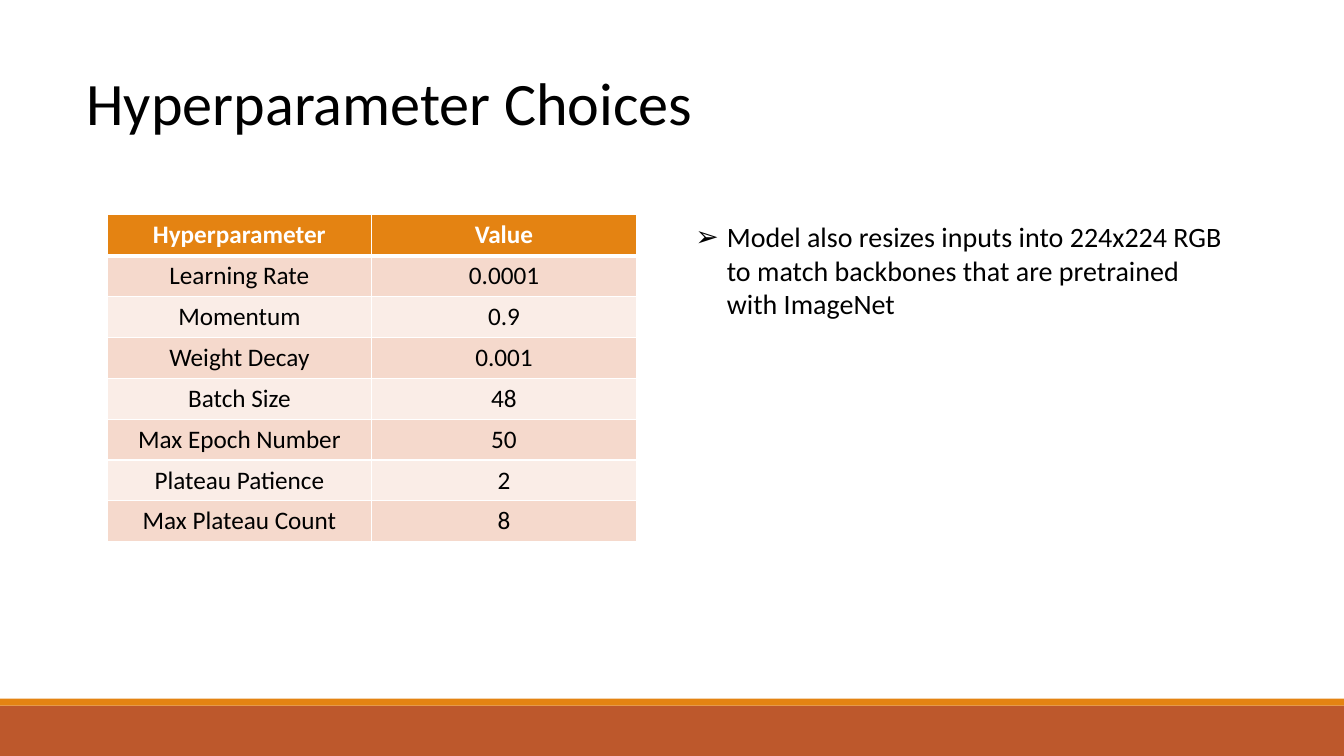
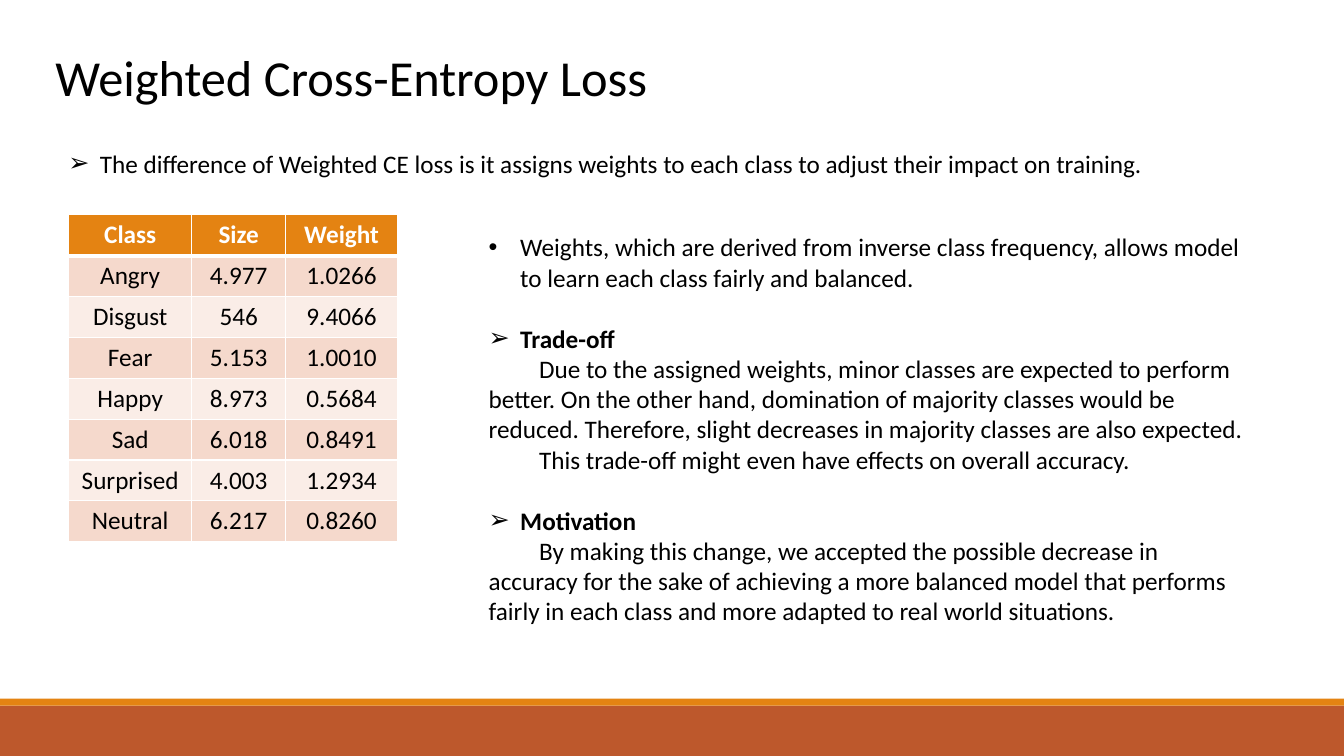
"""Build two slides on model training settings and the weighted loss."""
from lxml import etree
from pptx import Presentation
from pptx.dml.color import RGBColor
from pptx.enum import shapes, text
from pptx.oxml import ns
from pptx.util import Pt

C = {"text": "000000", "white": "FFFFFF", "rust": "BD582C", "orange": "E48312",
     "odd": "F5D9CC", "even": "FAEDE7"}
FONT = "Calibri"
W, H = 960, 540
BAND_TOP, STRIPE_H = 504, 5
TABLE_TOP, ROW_H = 153.4, 29.2
BULLET_INDENT, FIRST_LINE, GAP = 22.5, 36, 22
ARROW, DOT = "➢", "•"


def rgb(name):
    return RGBColor.from_string(C[name])


def add_run(p, content, size, color="text", bold=False):
    r = p.add_run()
    r.text = content
    r.font.name, r.font.size, r.font.bold = FONT, Pt(size), bold
    r.font.color.rgb = rgb(color)


def set_indent(p, left, first, bullet=None):
    pPr = p._p.get_or_add_pPr()
    pPr.set("marL", str(Pt(left)))
    pPr.set("indent", str(Pt(first)))
    if bullet:
        etree.SubElement(pPr, ns.qn("a:buFont")).set("typeface", "Arial")
        etree.SubElement(pPr, ns.qn("a:buChar")).set("char", bullet)


def add_text(s, box, size, paragraphs):
    tf = s.shapes.add_textbox(*map(Pt, box)).text_frame
    tf.word_wrap = True
    for i, (kind, content, bold, before) in enumerate(paragraphs):
        p = tf.paragraphs[0] if i == 0 else tf.add_paragraph()
        p.space_before = Pt(before)
        if kind in (ARROW, DOT):
            set_indent(p, BULLET_INDENT, -BULLET_INDENT, kind)
        elif kind == "body":
            set_indent(p, 0, FIRST_LINE)
        add_run(p, content, size, bold=bold)


def add_band(s, top, height, color):
    sp = s.shapes.add_shape(shapes.MSO_SHAPE.RECTANGLE, 0, Pt(top), Pt(W), Pt(height))
    sp.shadow.inherit = False
    sp.fill.solid()
    sp.fill.fore_color.rgb = rgb(color)
    sp.line.fill.background()


def add_slide(prs, title, box, size):
    s = prs.slides.add_slide(prs.slide_layouts[6])
    add_band(s, BAND_TOP, H - BAND_TOP, "rust")
    add_band(s, BAND_TOP - STRIPE_H, STRIPE_H, "orange")
    add_text(s, box, size, [("title", title, False, 0)])
    return s


def set_borders(cell, bottom):
    tcPr = cell._tc.get_or_add_tcPr()
    for side, width in (("L", 1), ("R", 1), ("T", 1), ("B", bottom)):
        ln = etree.SubElement(tcPr, ns.qn(f"a:ln{side}"), w=str(Pt(width)))
        fill = etree.SubElement(ln, ns.qn("a:solidFill"))
        etree.SubElement(fill, ns.qn("a:srgbClr"), val=C["white"])


def add_table(s, left, widths, rows):
    tbl = s.shapes.add_table(len(rows), len(widths), Pt(left), Pt(TABLE_TOP),
                             Pt(sum(widths)), Pt(ROW_H * len(rows))).table
    for col, width in zip(tbl.columns, widths):
        col.width = Pt(width)
    for i, row in enumerate(rows):
        head = i == 0
        tbl.rows[i].height = Pt(ROW_H)
        for j, value in enumerate(row):
            cell = tbl.cell(i, j)
            set_borders(cell, 3 if head else 1)
            cell.fill.solid()
            cell.fill.fore_color.rgb = rgb("orange" if head else "odd" if i % 2 else "even")
            p = cell.text_frame.paragraphs[0]
            p.alignment = text.PP_ALIGN.CENTER
            add_run(p, value, 18, "white" if head else "text", head)


def add_hyperparameters(prs):
    s = add_slide(prs, "Hyperparameter Choices", (54.7, 43.2, 869, 60.5), 43)
    add_table(s, 76.5, (189, 189), [
        ("Hyperparameter", "Value"),
        ("Learning Rate", "0.0001"),
        ("Momentum", "0.9"),
        ("Weight Decay", "0.001"),
        ("Batch Size", "48"),
        ("Max Epoch Number", "50"),
        ("Plateau Patience", "2"),
        ("Max Plateau Count", "8"),
    ])
    add_text(s, (489.6, TABLE_TOP, 394, 80), 20, [
        (ARROW, "Model also resizes inputs into 224x224 RGB to match backbones "
                "that are pretrained with ImageNet", False, 0),
    ])


def add_weighted_loss(prs):
    s = add_slide(prs, "Weighted Cross-Entropy Loss", (32.4, 29.5, 890, 51), 36)
    add_text(s, (41.8, 102.2, 852, 29), 18, [
        (ARROW, "The difference of Weighted CE loss is it assigns weights to each "
                "class to adjust their impact on training.", False, 0),
    ])
    add_table(s, 49, (88, 67, 80), [
        ("Class", "Size", "Weight"),
        ("Angry", "4.977", "1.0266"),
        ("Disgust", "546", "9.4066"),
        ("Fear", "5.153", "1.0010"),
        ("Happy", "8.973", "0.5684"),
        ("Sad", "6.018", "0.8491"),
        ("Surprised", "4.003", "1.2934"),
        ("Neutral", "6.217", "0.8260"),
    ])
    add_text(s, (342, 162, 558, 291), 18, [
        (DOT, "Weights, which are derived from inverse class frequency, allows "
              "model to learn each class fairly and balanced.", False, 0),
        (ARROW, "Trade-off", True, GAP),
        ("body", "Due to the assigned weights, minor classes are expected to perform "
                 "better. On the other hand, domination of majority classes would be "
                 "reduced. Therefore, slight decreases in majority classes are also "
                 "expected.", False, 0),
        ("body", "This trade-off might even have effects on overall accuracy.", False, 0),
        (ARROW, "Motivation", True, GAP),
        ("body", "By making this change, we accepted the possible decrease in accuracy "
                 "for the sake of achieving a more balanced model that performs fairly "
                 "in each class and more adapted to real world situations.", False, 0),
    ])


def main():
    prs = Presentation()
    prs.slide_width, prs.slide_height = Pt(W), Pt(H)
    add_hyperparameters(prs)
    add_weighted_loss(prs)
    prs.save("out.pptx")


if __name__ == "__main__":
    main()
